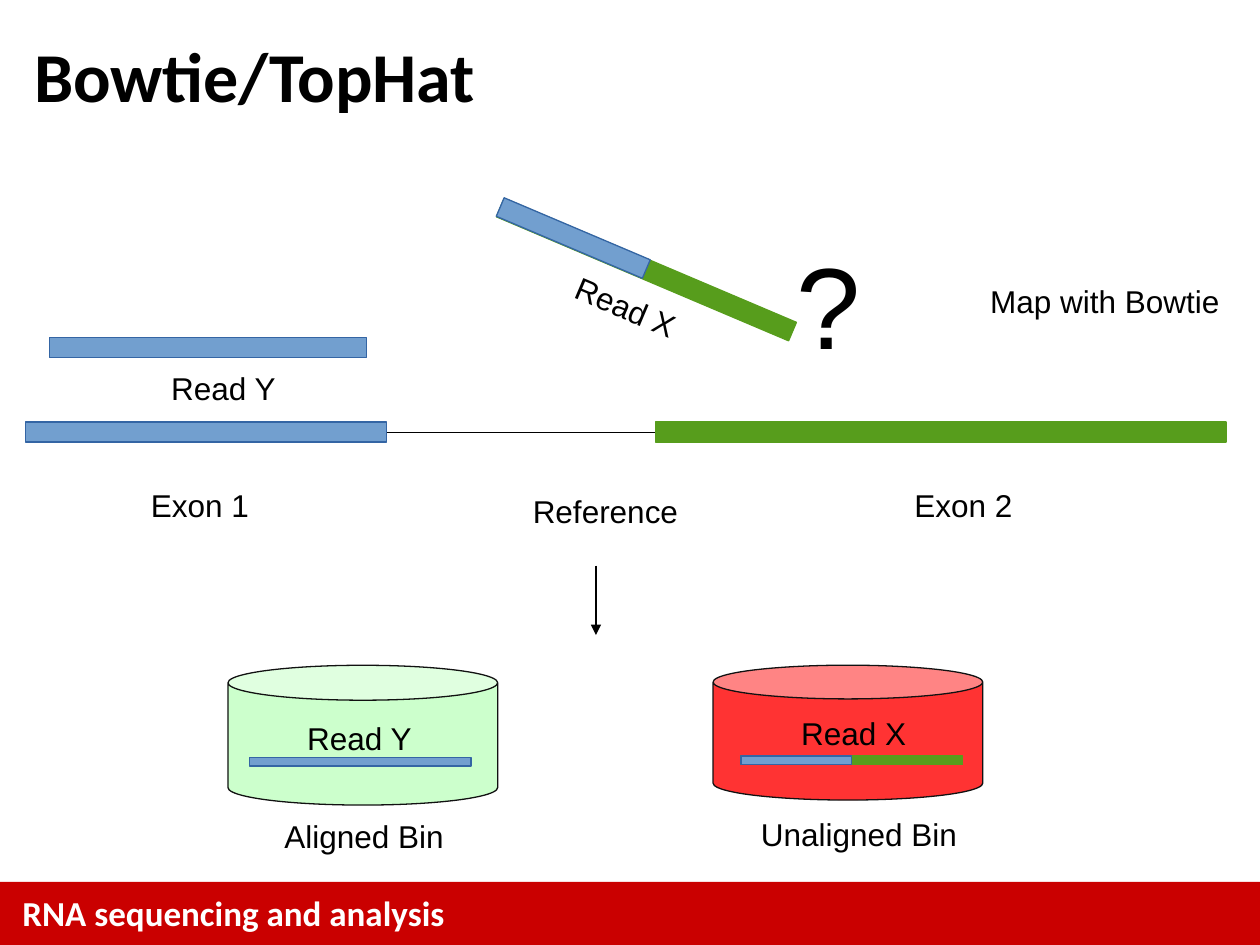
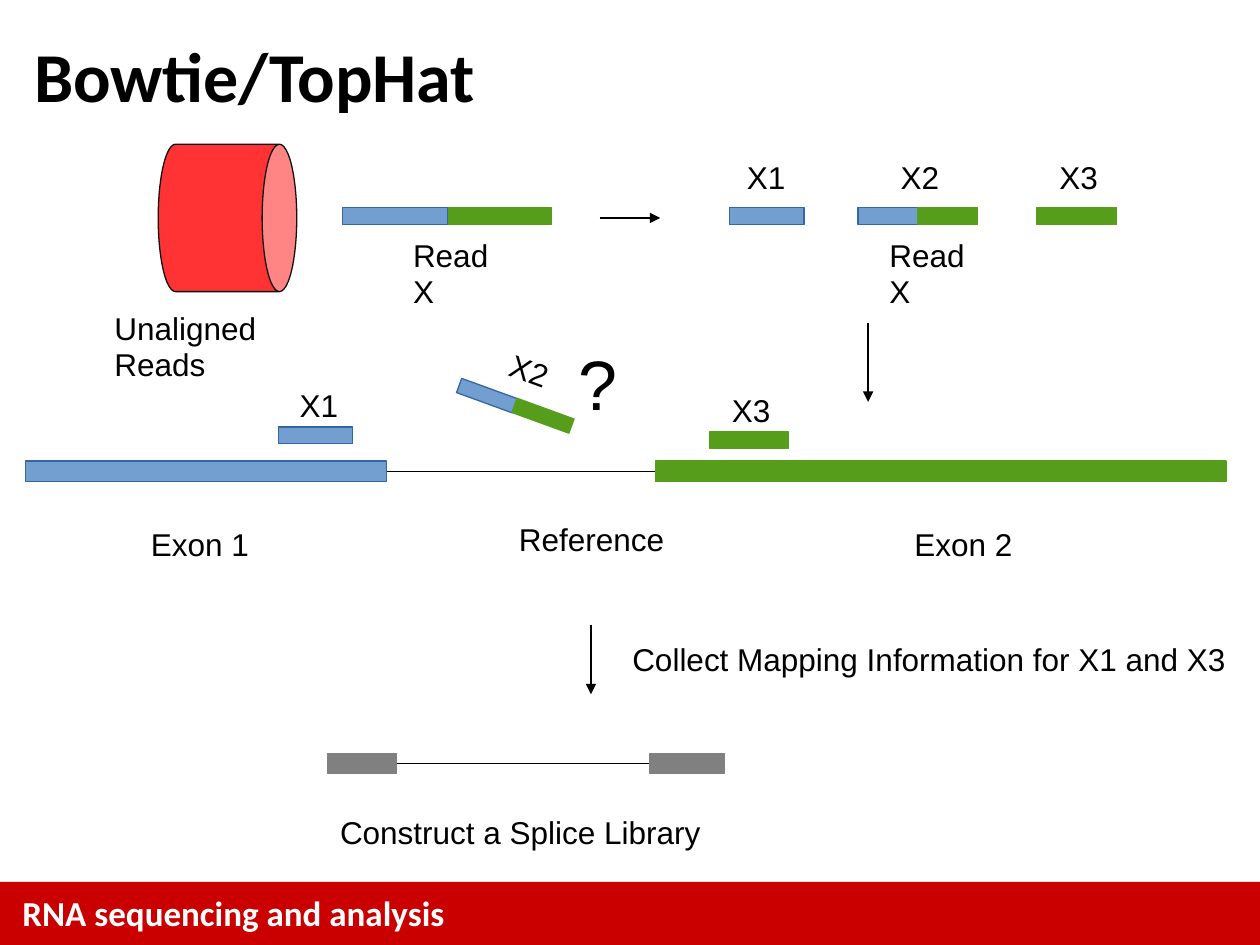
from dataclasses import dataclass
from lxml.etree import SubElement
from pptx import Presentation
from pptx.dml.color import RGBColor
from pptx.enum.shapes import MSO_CONNECTOR, MSO_SHAPE
from pptx.enum.text import MSO_ANCHOR, MSO_AUTO_SIZE, PP_ALIGN
from pptx.oxml.ns import qn
from pptx.util import Inches, Pt


@dataclass(frozen=True)
class Theme:
    black: str = "000000"
    white: str = "FFFFFF"
    band: str = "CA0000"
    outline: str = "111111"
    aligned: str = "CCFFCC"
    unaligned: str = "FF3333"
    blue: tuple = ("729FCF", "3465A4")
    green: tuple = ("579D1C", "579D1C")
    grey: tuple = ("808080", "808080")
    heading_font: str = "Calibri"
    body_font: str = "Arial"
    title_size: int = 40
    label_size: int = 18
    footer_size: int = 20
    big_mark_size: int = 66
    small_mark_size: int = 40
    line_width: float = 0.75
    label_height: float = 0.38
    label_spacing: float = 0.94


THEME = Theme()
BLUE, GREEN, GREY = THEME.blue, THEME.green, THEME.grey
TITLE = "Bowtie/TopHat"
FOOTER = "RNA sequencing and analysis"

MAPPING = {
    "reference_top": 3.35,
    "lines": [((4.73, 4.49), (4.73, 5.04), True)],
    "cans": [
        (THEME.unaligned, (5.66, 5.28, 2.14, 1.07), 0),
        (THEME.aligned, (1.81, 5.28, 2.14, 1.11), 0),
    ],
    "bars": [
        (BLUE, (0.39, 2.68, 2.52, 0.16), 0),
        (GREEN, (3.87, 2.06, 2.52, 0.16), 23),
        (BLUE, (3.92, 1.81, 1.26, 0.16), 23),
        (BLUE, (1.98, 6.01, 1.76, 0.07), 0),
        (GREEN, (5.88, 6, 1.76, 0.07), 0),
        (BLUE, (5.88, 6, 0.88, 0.07), 0),
    ],
    "labels": [
        ("Read X", (4.45, 2.25, 1.03), {"rotation": 23}),
        ("Read Y", (1.26, 2.89, 1.02), {}),
        ("Reference", (4.13, 3.87, 1.35), {}),
        ("?", (6.22, 1.85, 0.71, 1.12),
         {"size": THEME.big_mark_size, "top_inset": 0.1}),
        ("Map with Bowtie", (7.76, 2.2, 2.01), {}),
        ("Read X", (6.26, 5.63, 1.38), {"wrap": True}),
        ("Read Y", (2.34, 5.67, 1.83), {"wrap": True}),
        ("Aligned Bin", (2.16, 6.45, 2.36), {"wrap": True}),
        ("Unaligned Bin", (5.94, 6.43, 2.48), {"wrap": True}),
    ],
}

SPLITTING = {
    "reference_top": 3.66,
    "lines": [
        ((3.03, 6.06), (5.16, 6.06), False),
        ((4.76, 1.73), (5.24, 1.73), True),
        ((6.89, 2.56), (6.89, 3.19), True),
        ((4.69, 4.96), (4.69, 5.51), True),
    ],
    "cans": [(THEME.unaligned, (1.22, 1.18, 1.17, 1.1), 90)],
    "bars": [
        (GREEN, (2.72, 1.65, 1.66, 0.13), 0),
        (BLUE, (2.72, 1.65, 0.83, 0.13), 0),
        (BLUE, (5.79, 1.65, 0.59, 0.13), 0),
        (BLUE, (6.81, 1.65, 0.47, 0.13), 0),
        (GREEN, (7.28, 1.65, 0.48, 0.13), 0),
        (GREEN, (8.23, 1.65, 0.63, 0.13), 0),
        (BLUE, (2.21, 3.39, 0.59, 0.13), 0),
        (GREEN, (5.63, 3.43, 0.63, 0.13), 0),
        (BLUE, (3.63, 3.08, 0.47, 0.12), 20),
        (GREEN, (4.07, 3.24, 0.48, 0.12), 20),
        (GREY, (2.6, 5.98, 0.55, 0.16), 0),
        (GREY, (5.16, 5.98, 0.59, 0.16), 0),
    ],
    "labels": [
        ("Reference", (4.02, 4.09, 1.35), {}),
        ("Unaligned Reads", (0.81, 2.42, 2.11), {"wrap": True}),
        ("Read X", (3.18, 1.84, 1.03), {"wrap": True}),
        ("Read X", (6.96, 1.84, 1.03), {"wrap": True}),
        ("X1", (5.83, 1.22, 0.5), {}),
        ("X2", (7.05, 1.22, 0.5), {}),
        ("X3", (8.31, 1.22, 0.5), {}),
        ("X1", (2.28, 3.03, 0.5), {}),
        ("X3", (5.71, 3.07, 0.5), {}),
        ("X2", (3.95, 2.75, 0.5), {"rotation": 20}),
        ("?", (4.49, 2.68, 0.51, 0.72),
         {"size": THEME.small_mark_size, "top_inset": 0.08}),
        ("Collect Mapping Information for X1 and X3", (4.92, 5.04, 4.9), {}),
        ("Construct a Splice Library", (2.6, 6.42, 3.62), {"wrap": True}),
    ],
}


def write(box, text, *, size=THEME.label_size, font=THEME.body_font,
          color=THEME.black, bold=False, anchor=MSO_ANCHOR.TOP,
          spacing=1.0, top_inset=0.05, wrap=True):
    frame = box.text_frame
    frame.auto_size = MSO_AUTO_SIZE.NONE
    frame.word_wrap = wrap
    frame.vertical_anchor = anchor
    frame.margin_left = frame.margin_right = Inches(0.1)
    frame.margin_top, frame.margin_bottom = Inches(top_inset), Inches(0.05)
    para = frame.paragraphs[0]
    para.alignment = PP_ALIGN.LEFT
    para.line_spacing = spacing
    para.space_before = Pt(0)
    span = para.add_run()
    span.text = text
    span.font.name = font
    span.font.size = Pt(size)
    span.font.bold = bold
    span.font.color.rgb = RGBColor.from_string(color)


def add_box(page, place):
    return page.shapes.add_textbox(*map(Inches, place))


def add_label(page, text, place, rotation=0, wrap=False, top_inset=0.06, **style):
    left, top, width, height = (*place, THEME.label_height)[:4]
    box = add_box(page, (left, top, width, height))
    box.rotation = rotation
    write(box, text, spacing=THEME.label_spacing, wrap=wrap,
          top_inset=top_inset, **style)


def add_solid(page, kind, place, fill, line=None, rotation=0):
    shape = page.shapes.add_shape(kind, *map(Inches, place))
    shape.shadow.inherit = False
    shape.rotation = rotation
    shape.fill.solid()
    shape.fill.fore_color.rgb = RGBColor.from_string(fill)
    if line:
        shape.line.color.rgb = RGBColor.from_string(line)
        shape.line.width = Pt(THEME.line_width)
    else:
        shape.line.fill.background()
    return shape


def add_line(page, start, end, arrow=False):
    line = page.shapes.add_connector(
        MSO_CONNECTOR.STRAIGHT, *map(Inches, (*start, *end)))
    line.line.color.rgb = RGBColor.from_string(THEME.black)
    line.line.width = Pt(THEME.line_width)
    properties = line._element.spPr
    if arrow:
        SubElement(properties.find(qn("a:ln")), qn("a:tailEnd"), type="triangle")
    SubElement(properties, qn("a:effectLst"))


def add_bar(page, colors, place, rotation=0):
    fill, line = colors
    add_solid(page, MSO_SHAPE.RECTANGLE, place, fill, line, rotation)


def add_reference(page, top):
    add_bar(page, BLUE, (0.2, top, 2.87, 0.16))
    add_bar(page, GREEN, (5.2, top, 4.53, 0.16))
    add_line(page, (3.07, top + 0.08), (5.2, top + 0.08))
    for text, left in (("Exon 1", 1.1), ("Exon 2", 7.16)):
        add_label(page, text, (left, top + 0.47, 0.97))


def add_page(deck):
    page = deck.slides.add_slide(deck.slide_layouts[5])
    add_solid(page, MSO_SHAPE.RECTANGLE, (0, 7, 10, 0.5), THEME.band)
    write(add_box(page, (0.08, 7.03, 7.33, 0.43)), FOOTER, bold=True,
          size=THEME.footer_size, font=THEME.heading_font, color=THEME.white)
    title = page.shapes.title
    title.left, title.top, title.width, title.height = map(
        Inches, (0.17, -0.03, 9.67, 1.25))
    write(title, TITLE, size=THEME.title_size, font=THEME.heading_font,
          bold=True, anchor=MSO_ANCHOR.MIDDLE)
    return page


def draw(deck, content):
    page = add_page(deck)
    for start, end, arrow in content["lines"]:
        add_line(page, start, end, arrow)
    add_reference(page, content["reference_top"])
    for fill, place, rotation in content["cans"]:
        can = add_solid(page, MSO_SHAPE.CAN, place, fill, THEME.outline, rotation)
        can.adjustments[0] = 0.25
    for colors, place, rotation in content["bars"]:
        add_bar(page, colors, place, rotation)
    for text, place, style in content["labels"]:
        add_label(page, text, place, **style)


def main():
    deck = Presentation()
    deck.slide_width, deck.slide_height = Inches(10), Inches(7.5)
    for content in (MAPPING, SPLITTING):
        draw(deck, content)
    deck.save("out.pptx")


if __name__ == "__main__":
    main()
